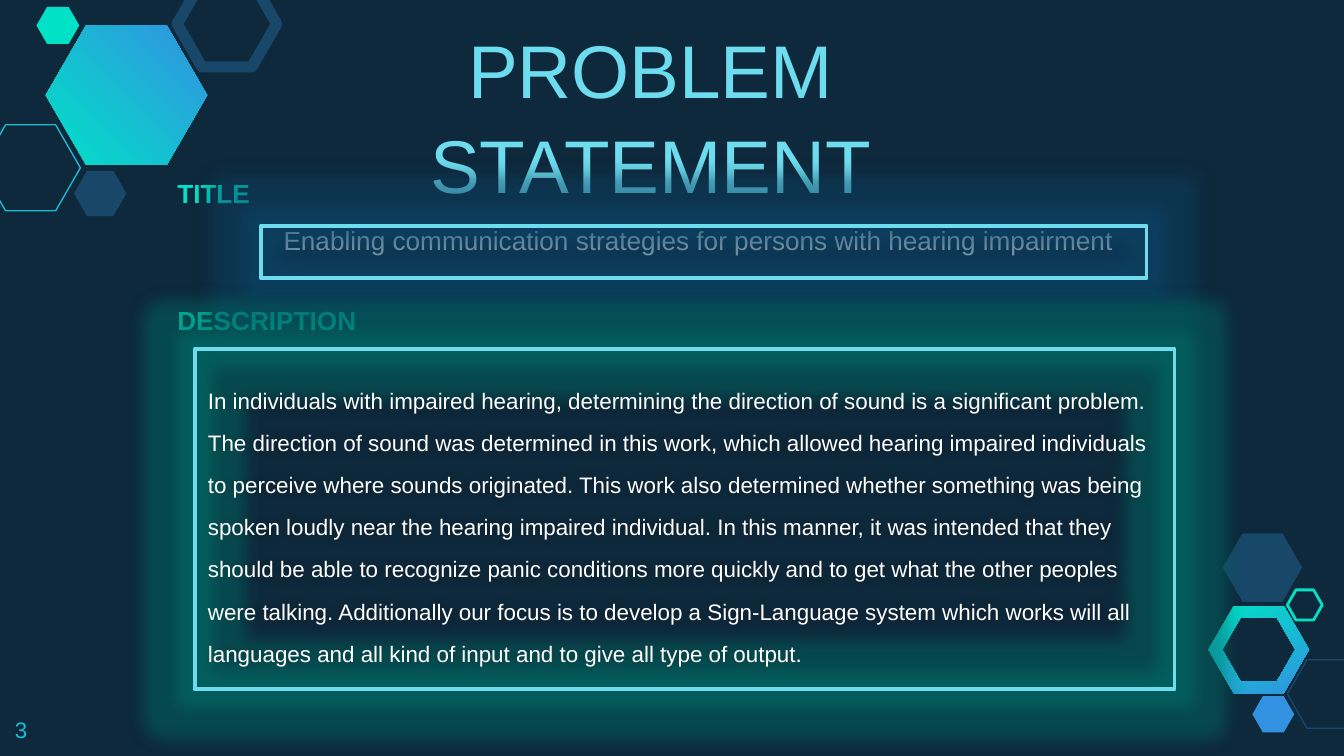
from typing import NamedTuple, Optional

from lxml.etree import SubElement
from pptx import Presentation
from pptx.dml.color import RGBColor
from pptx.enum.shapes import MSO_SHAPE as SHAPE
from pptx.enum.text import MSO_ANCHOR as ANCHOR, PP_ALIGN as ALIGN
from pptx.oxml.ns import qn
from pptx.util import Cm, Pt

NAVY = RGBColor(0x0E, 0x29, 0x3C)
STEEL = RGBColor(0x18, 0x47, 0x69)
BLUE = RGBColor(0x32, 0x92, 0xE1)
MINT = RGBColor(0x00, 0xE1, 0xC6)
CYAN = RGBColor(0x19, 0xBB, 0xD5)
SKY = RGBColor(0x6D, 0xDC, 0xEE)
WHITE = RGBColor(0xFF, 0xFF, 0xFF)
BLACK = RGBColor(0x00, 0x00, 0x00)
BLUE_GLOW = RGBColor(0x0E, 0x50, 0x7A)
TEAL_GLOW = RGBColor(0x00, 0x82, 0x78)

FONT = "Arial"
HEX_RATIO = 0.865  # height of a regular hexagon for a width of 1

DESCRIPTION = (
    "In individuals with impaired hearing, determining the direction of sound is a "
    "significant problem. The direction of sound was determined in this work, which "
    "allowed hearing impaired individuals to perceive where sounds originated. This "
    "work also determined whether something was being spoken loudly near the hearing "
    "impaired individual. In this manner, it was intended that they should be able to "
    "recognize panic conditions more quickly and to get what the other peoples were "
    "talking. Additionally our focus is to develop a Sign-Language system which works "
    "will all languages and all kind of input and to give all type of output."
)


class Hexagon(NamedTuple):
    left: float
    top: float
    width: float
    color: RGBColor
    line: Optional[float] = None  # outline in points; filled when None


class GradientHexagon(NamedTuple):
    x: float
    y: float
    widths: tuple[float, ...]  # outer width, then the hole
    angle: float


class Label(NamedTuple):
    text: str
    box: tuple[float, float, float, float]
    size: float
    color: RGBColor
    align: ALIGN = ALIGN.CENTER
    anchor: ANCHOR = ANCHOR.TOP
    bold: bool = False
    spacing: float = 1.0


class Frame(NamedTuple):
    box: tuple[float, float, float, float]
    glow: RGBColor
    text: str = ""


GRADIENT_HEXAGONS = [
    GradientHexagon(23.79, 12.28, (1.9, 1.38), 296),
    GradientHexagon(2.39, 1.8, (3.05,), 45),
]
HEXAGONS = [
    Hexagon(-0.36, 2.36, 1.88, CYAN, 0.75),
    Hexagon(1.4, 3.23, 0.99, STEEL),
    Hexagon(3.35, -0.36, 1.88, STEEL, 6),
    Hexagon(0.69, 0.13, 0.81, MINT),
    Hexagon(24.33, 12.47, 1.5, STEEL, 0.75),
    Hexagon(23.67, 13.16, 0.79, BLUE),
    Hexagon(23.11, 10.08, 1.5, STEEL),
    Hexagon(24.33, 11.15, 0.66, MINT, 1.5),
]
LABELS = [
    Label("PROBLEM STATEMENT", (4.42, 0.1, 15.75, 2.29), 40, SKY, spacing=1.06),
    Label("DESCRIPTION", (2.91, 5.46, 4.27, 1.14), 14, MINT, anchor=ANCHOR.BOTTOM, bold=True),
    Label("TITLE", (2.92, 3.66, 2.24, 0.53), 14, MINT, anchor=ANCHOR.BOTTOM, bold=True),
    Label("Enabling communication strategies for persons with hearing impairment",
          (2.41, 3.96, 21.59, 1.3), 14, WHITE, spacing=1.06),
    Label("3", (0.03, 13.28, 1.52, 0.99), 12, CYAN, ALIGN.LEFT),
]
FRAMES = [
    Frame((4.93, 4.27, 16.74, 0.99), BLUE_GLOW),
    Frame((3.68, 6.6, 18.52, 6.43), TEAL_GLOW, DESCRIPTION),
]


def add_gradient_hexagon(s, item: GradientHexagon) -> None:
    """Draw a mint-to-blue hexagon; a second width cuts a hole."""
    builder = None
    for direction, width in zip((1, -1), item.widths):
        dx, dy = width / 2, width * HEX_RATIO / 2
        corners = [(-dx, 0), (-dx / 2, -dy), (dx / 2, -dy),
                   (dx, 0), (dx / 2, dy), (-dx / 2, dy)]
        points = [(Cm(item.x + x), Cm(item.y + y)) for x, y in corners][::direction]
        if builder is None:
            builder = s.shapes.build_freeform(*points[0], scale=1.0)
        else:
            builder.move_to(*points[0])
        builder.add_line_segments(points[1:], close=True)
    sp = builder.convert_to_shape()
    sp.shadow.inherit = False
    sp.line.fill.background()
    sp.fill.gradient()
    sp.fill.gradient_angle = item.angle
    for stop, color in zip(sp.fill.gradient_stops, (MINT, BLUE)):
        stop.color.rgb = color


def add_hexagon(s, item: Hexagon) -> None:
    sp = s.shapes.add_shape(SHAPE.HEXAGON, Cm(item.left), Cm(item.top),
                            Cm(item.width), Cm(item.width * HEX_RATIO))
    sp.adjustments[0] = 0.287
    sp.shadow.inherit = False
    if item.line is None:
        sp.fill.solid()
        sp.fill.fore_color.rgb = item.color
        sp.line.fill.background()
    else:
        sp.fill.background()
        sp.line.color.rgb = item.color
        sp.line.width = Pt(item.line)


def write(tf, text: str, size: float, color: RGBColor, align: ALIGN,
          spacing: float, bold: bool = False) -> None:
    tf.word_wrap = True
    p = tf.paragraphs[0]
    p.text = text
    p.alignment = align
    p.line_spacing = spacing
    p.font.name = FONT
    p.font.size = Pt(size)
    p.font.bold = bold
    p.font.color.rgb = color


def add_label(s, item: Label) -> None:
    tf = s.shapes.add_textbox(*map(Cm, item.box)).text_frame
    tf.margin_left = tf.margin_right = tf.margin_top = tf.margin_bottom = Cm(0.25)
    tf.vertical_anchor = item.anchor
    write(tf, item.text, item.size, item.color, item.align, item.spacing, item.bold)


def add_effect(effects, tag: str, color: RGBColor, **attributes: str) -> None:
    """Append a 40 % opaque effect such as a glow or a shadow."""
    effect = SubElement(effects, qn(tag), attributes)
    clr = SubElement(effect, qn("a:srgbClr"), val=str(color))
    SubElement(clr, qn("a:alpha"), val="40000")


def add_frame(s, item: Frame) -> None:
    sp = s.shapes.add_shape(SHAPE.RECTANGLE, *map(Cm, item.box))
    sp.fill.background()
    sp.line.color.rgb = SKY
    sp.line.width = Pt(2)
    sp.shadow.inherit = False
    effects = sp._element.spPr.find(qn("a:effectLst"))
    add_effect(effects, "a:glow", item.glow, rad=str(Pt(18)))
    add_effect(effects, "a:outerShdw", BLACK, blurRad=str(Pt(5)), dist="0", dir="0")
    if item.text:
        sp.text_frame.vertical_anchor = ANCHOR.MIDDLE
        write(sp.text_frame, item.text, 12, WHITE, ALIGN.LEFT, 1.57)


def main() -> None:
    prs = Presentation()
    prs.slide_width, prs.slide_height = Cm(25.4), Cm(14.29)
    s = prs.slides.add_slide(prs.slide_layouts[6])
    s.background.fill.solid()
    s.background.fill.fore_color.rgb = NAVY
    for draw, items in ((add_gradient_hexagon, GRADIENT_HEXAGONS), (add_hexagon, HEXAGONS),
                        (add_label, LABELS), (add_frame, FRAMES)):
        for item in items:
            draw(s, item)
    prs.save("out.pptx")


if __name__ == "__main__":
    main()
